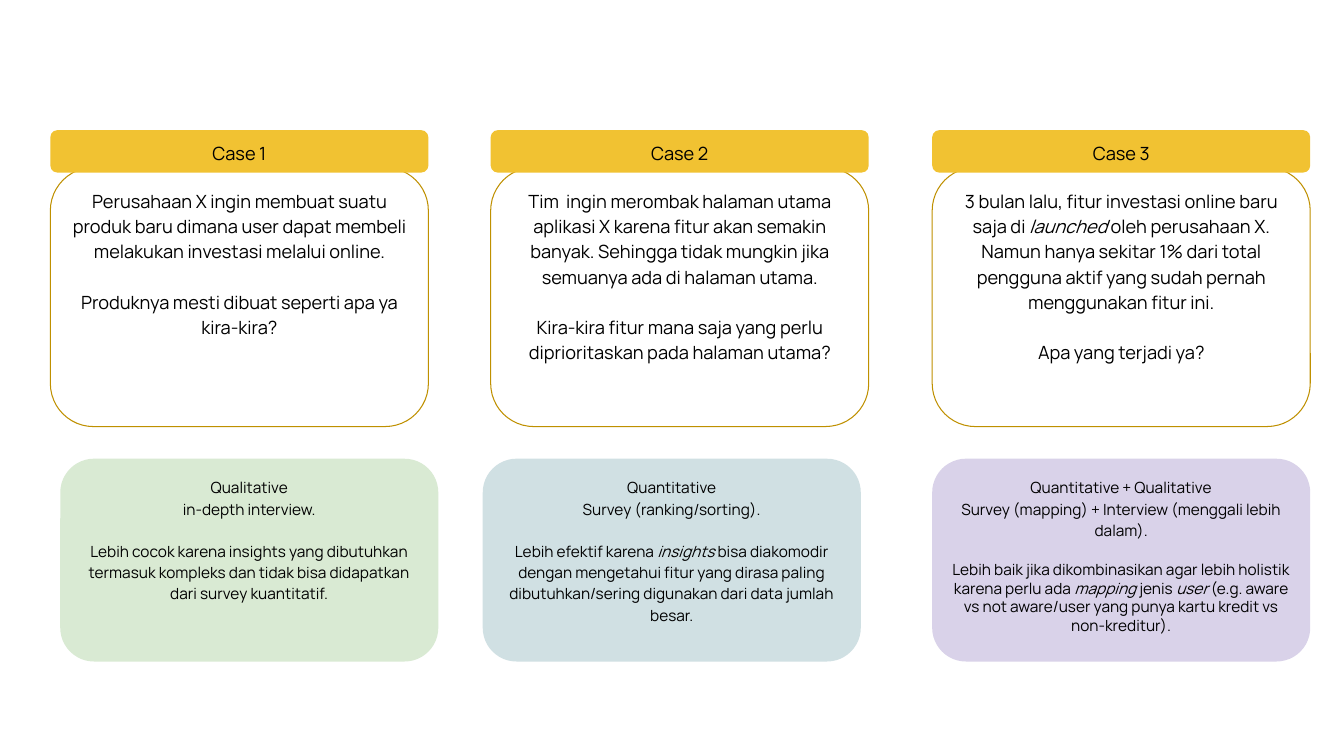
"""Build a slide of three research cases, each with its suggested method."""
import pptx
import pptx.dml.color
import pptx.enum.shapes
import pptx.enum.text
import pptx.util

Cm = pptx.util.Cm
Pt = pptx.util.Pt
RGBColor = pptx.dml.color.RGBColor
ANCHOR = pptx.enum.text.MSO_ANCHOR

BLACK = RGBColor(0x00, 0x00, 0x00)
GOLD = RGBColor(0xF1, 0xC2, 0x32)
BRONZE = RGBColor(0xBF, 0x90, 0x00)
GREEN = RGBColor(0xD9, 0xEA, 0xD3)
BLUE = RGBColor(0xD0, 0xE0, 0xE3)
VIOLET = RGBColor(0xD9, 0xD2, 0xE9)

FONT = "Manrope"
WIDTH = Cm(9.53)
INSET = Cm(0.18)
SPACING = 1.15
CASE_SIZE, CASE_GAP = Pt(13), Pt(18)
METHOD_SIZE, METHOD_GAP = Pt(11), Pt(15)

# Each paragraph is a tuple of runs: plain and italic by turns.
CASES = [
    (1.27, [
        ("Perusahaan X ingin membuat suatu produk baru dimana user dapat "
         "membeli melakukan investasi melalui online.",),
        ("Produknya mesti dibuat seperti apa ya kira-kira?",),
    ]),
    (12.37, [
        ("Tim  ingin merombak halaman utama aplikasi X karena fitur akan "
         "semakin banyak. Sehingga tidak mungkin jika semuanya ada di "
         "halaman utama.",),
        ("Kira-kira fitur mana saja yang perlu diprioritaskan pada halaman "
         "utama?",),
    ]),
    (23.5, [
        ("3 bulan lalu, fitur investasi online baru saja di ", "launched ",
         "oleh perusahaan X. Namun hanya sekitar 1% dari total pengguna "
         "aktif yang sudah pernah menggunakan fitur ini.",),
        ("Apa yang terjadi ya?",),
    ]),
]

METHODS = [
    (1.52, GREEN, SPACING, [
        ("Qualitative",),
        ("in-depth interview.",),
        ("Lebih cocok karena insights yang dibutuhkan termasuk kompleks dan "
         "tidak bisa didapatkan dari survey kuantitatif.",),
    ]),
    (12.17, BLUE, SPACING, [
        ("Quantitative",),
        ("Survey (ranking/sorting).",),
        ("Lebih efektif karena ", "insights",
         " bisa diakomodir dengan mengetahui fitur yang dirasa paling "
         "dibutuhkan/sering digunakan dari data jumlah besar.",),
    ]),
    (23.5, VIOLET, 1.0, [
        ("Quantitative + Qualitative",),
        ("Survey (mapping) + Interview (menggali lebih dalam).",),
        ("Lebih baik jika dikombinasikan agar lebih holistik karena perlu "
         "ada ", "mapping", " jenis ", "user",
         " (e.g. aware vs not aware/user yang punya kartu kredit vs "
         "non-kreditur).",),
    ]),
]


def add_box(slide, left, top, height, fill=None, line=None,
            anchor=ANCHOR.TOP):
    """Add a rounded box and return its text frame."""
    box = slide.shapes.add_shape(
        pptx.enum.shapes.MSO_SHAPE.ROUNDED_RECTANGLE,
        Cm(left), Cm(top), WIDTH, Cm(height))
    box.shadow.inherit = False
    if fill is None:
        box.fill.background()
    else:
        box.fill.solid()
        box.fill.fore_color.rgb = fill
    if line is None:
        box.line.fill.background()
    else:
        box.line.color.rgb = line
        box.line.width = Pt(0.75)
    frame = box.text_frame
    frame.word_wrap = True
    frame.vertical_anchor = anchor
    frame.margin_left = frame.margin_right = INSET
    frame.margin_top = frame.margin_bottom = INSET
    return frame


def add_text(frame, paras, size, gap=None, last=SPACING):
    """Write centred paragraphs, setting the last one apart by the gap."""
    for index, runs in enumerate(paras):
        para = frame.add_paragraph() if index else frame.paragraphs[0]
        para.alignment = pptx.enum.text.PP_ALIGN.CENTER
        para.line_spacing = SPACING
        if index and index == len(paras) - 1:
            para.space_before = gap
            para.line_spacing = last
        for turn, text in enumerate(runs):
            run = para.add_run()
            run.text = text
            run.font.name = FONT
            run.font.size = size
            run.font.color.rgb = BLACK
            run.font.italic = turn % 2 == 1


def add_case(slide, number, left, paras):
    """Add an outlined case with its gold heading bar."""
    body = add_box(slide, left, 4.22, 6.53, line=BRONZE)
    add_text(body, paras, CASE_SIZE, CASE_GAP)
    head = add_box(slide, left, 3.28, 1.07, fill=GOLD, anchor=ANCHOR.MIDDLE)
    add_text(head, [(f"Case {number}",)], CASE_SIZE)


def add_method(slide, left, fill, last, paras):
    """Add a filled box that names and explains the method."""
    body = add_box(slide, left, 11.56, 5.11, fill=fill)
    add_text(body, paras, METHOD_SIZE, METHOD_GAP, last)


def main():
    """Build and save the slide."""
    deck = pptx.Presentation()
    deck.slide_width = Cm(33.88)
    deck.slide_height = Cm(19.05)
    slide = deck.slides.add_slide(deck.slide_layouts[6])
    for number, (left, paras) in enumerate(CASES, 1):
        add_case(slide, number, left, paras)
    for method in METHODS:
        add_method(slide, *method)
    deck.save("out.pptx")


if __name__ == "__main__":
    main()
